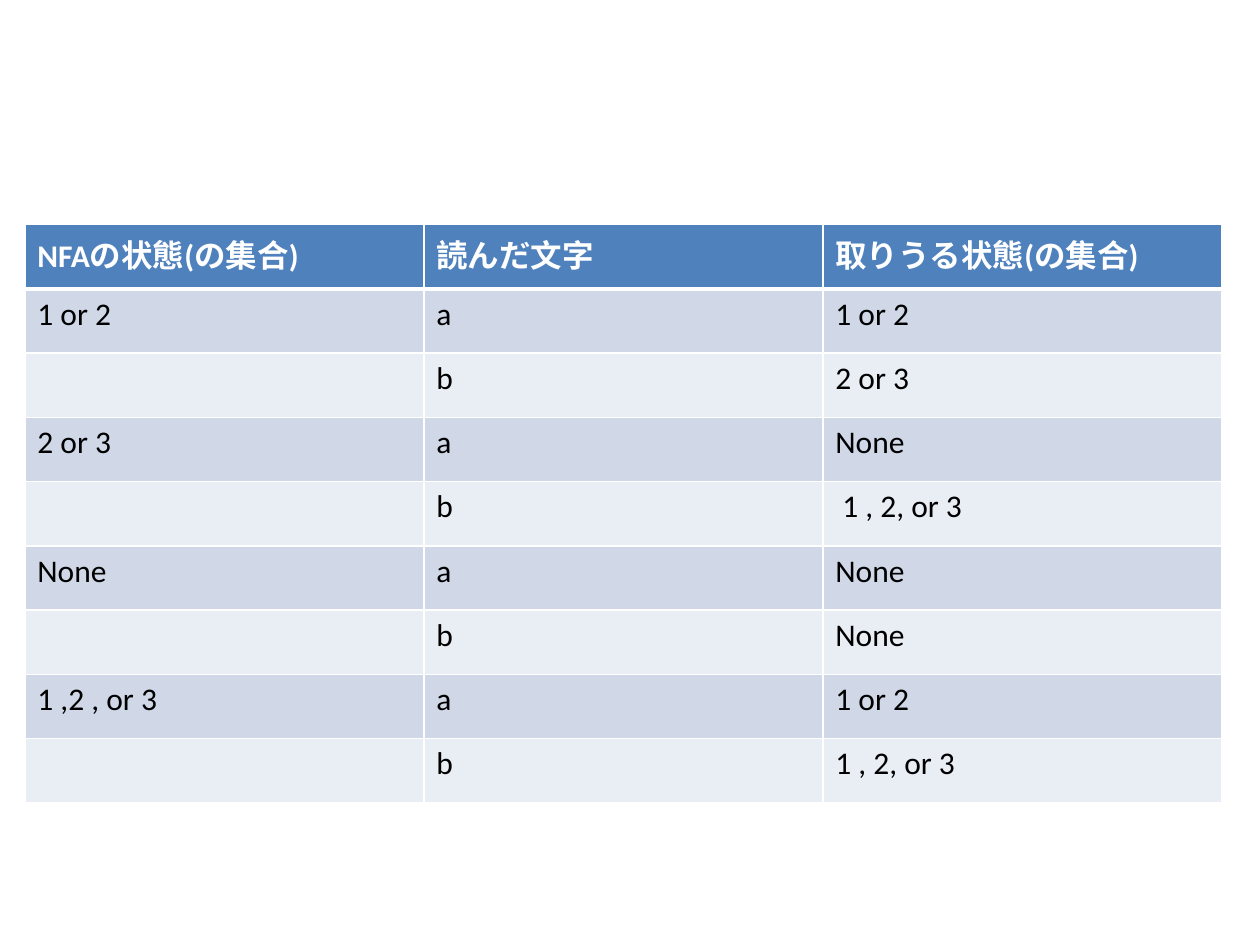
from dataclasses import dataclass

from lxml.etree import SubElement
from pptx import Presentation
from pptx.dml.color import RGBColor
from pptx.oxml.ns import qn
from pptx.util import Cm, Pt


@dataclass(frozen=True)
class Theme:
    font: str = "Calibri"
    text_size: int = 18
    header_fill: str = "4F81BD"
    header_text: str = "FFFFFF"
    body_text: str = "000000"
    bands: tuple = ("D0D8E8", "E9EDF4")
    border: str = "FFFFFF"
    thin_border: int = 1
    thick_border: int = 3


@dataclass(frozen=True)
class Box:
    left: float
    top: float
    width: float
    height: float


THEME = Theme()
HEADERS = ("NFAの状態(の集合)", "読んだ文字", "取りうる状態(の集合)")
TRANSITIONS = (
    ("1 or 2", "a", "1 or 2"),
    ("", "b", "2 or 3"),
    ("2 or 3", "a", "None"),
    ("", "b", " 1 , 2, or 3"),
    ("None", "a", "None"),
    ("", "b", "None"),
    ("1 ,2 , or 3", "a", "1 or 2"),
    ("", "b", "1 , 2, or 3"),
)


def write_text(cell, text, *, color, bold=False):
    paragraph = cell.text_frame.paragraphs[0]
    paragraph.font.size = Pt(THEME.text_size)
    if text:
        run = paragraph.add_run()
        run.text = text
        run.font.name = THEME.font
        run.font.size = Pt(THEME.text_size)
        run.font.bold = bold
        run.font.color.rgb = RGBColor.from_string(color)


def set_borders(cell, *, top, bottom):
    properties = cell._tc.get_or_add_tcPr()
    widths = {"lnL": THEME.thin_border, "lnR": THEME.thin_border, "lnT": top, "lnB": bottom}
    for side, width in widths.items():
        line = SubElement(properties, qn(f"a:{side}"), w=str(Pt(width)))
        fill = SubElement(line, qn("a:solidFill"))
        SubElement(fill, qn("a:srgbClr"), val=THEME.border)


def fill_cell(cell, color):
    cell.fill.solid()
    cell.fill.fore_color.rgb = RGBColor.from_string(color)


def add_transition_table(slide, box):
    rows = (HEADERS, *TRANSITIONS)
    frame = slide.shapes.add_table(
        len(rows), len(HEADERS), Cm(box.left), Cm(box.top), Cm(box.width), Cm(box.height)
    )
    table = frame.table
    for row_index, row in enumerate(rows):
        is_header = row_index == 0
        background = THEME.header_fill if is_header else THEME.bands[(row_index - 1) % 2]
        color = THEME.header_text if is_header else THEME.body_text
        top = THEME.thick_border if row_index == 1 else THEME.thin_border
        bottom = THEME.thick_border if is_header else THEME.thin_border
        for column_index, text in enumerate(row):
            cell = table.cell(row_index, column_index)
            write_text(cell, text, color=color, bold=is_header)
            set_borders(cell, top=top, bottom=bottom)
            fill_cell(cell, background)


def main():
    presentation = Presentation()
    presentation.slide_width = Cm(25.4)
    presentation.slide_height = Cm(19.05)
    slide = presentation.slides.add_slide(presentation.slide_layouts[6])
    add_transition_table(slide, Box(left=0.5, top=4.53, width=24.13, height=11.66))
    presentation.save("out.pptx")


if __name__ == "__main__":
    main()
